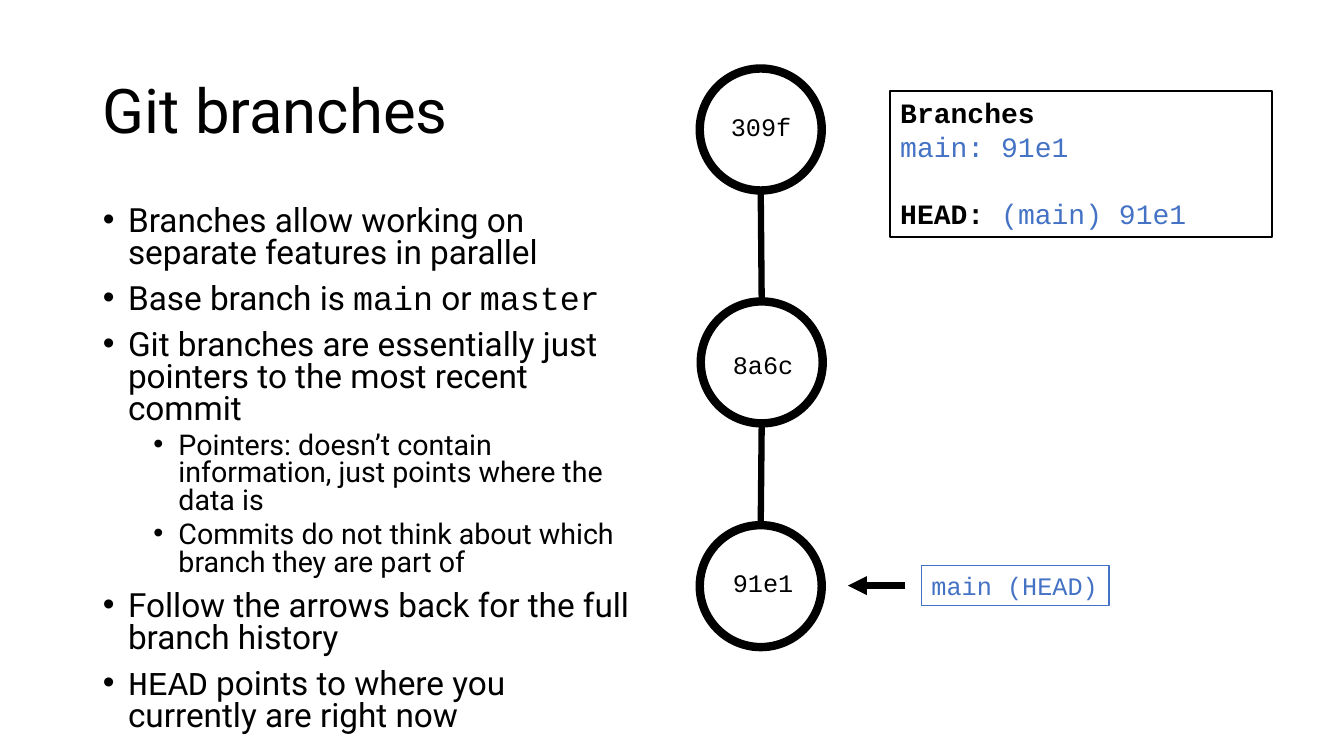
from lxml.etree import SubElement
from pptx import Presentation
from pptx.dml.color import RGBColor
from pptx.enum.shapes import MSO_CONNECTOR as Connector, MSO_SHAPE as Shape
from pptx.enum.text import MSO_ANCHOR as Anchor, MSO_AUTO_SIZE as AutoSize, PP_ALIGN as Align
from pptx.oxml.ns import qn
from pptx.util import Inches, Pt

SANS, MONO = "Roboto", "Courier New"
BLACK, BLUE = "000000", "4472C4"
COMMITS = [  # name, left and top of circle, left and top of label
    ("309f", 6.94, 0.68, 7.15, 1.06),
    ("8a6c", 6.95, 2.99, 7.17, 3.42),
    ("91e1", 6.94, 5.21, 7.17, 5.58),
]
CIRCLE = 1.21
BULLETS = [  # level, runs
    (0, [("Branches allow working on separate features in parallel", SANS)]),
    (0, [("Base branch is ", SANS), ("main", MONO), (" or ", SANS), ("master", MONO)]),
    (0, [("Git branches are essentially just pointers to the most recent commit", SANS)]),
    (1, [("Pointers: doesn’t contain information, just points where the data is", SANS)]),
    (1, [("Commits do not think about which branch they are part of", SANS)]),
    (0, [("Follow the arrows back for the full branch history", SANS)]),
    (0, [("HEAD", MONO), (" points to where you currently are right now", SANS)]),
]
LEVELS = [(23.8, 10, 0.25), (20.4, 5, 0.75)]  # size, space before, indent


def color(value):
    return RGBColor.from_string(value)


def add_span(para, text, size, font=MONO, ink=BLACK, bold=False):
    span = para.add_run()
    span.text = text
    span.font.size = Pt(size)
    span.font.name = font
    span.font.bold = bold
    span.font.color.rgb = color(ink)


def place(shape, left, top, width, height):
    shape.left, shape.top = Inches(left), Inches(top)
    shape.width, shape.height = Inches(width), Inches(height)


def set_line(shape, ink, width):
    shape.line.color.rgb = color(ink)
    shape.line.width = Pt(width)


def fill_title(title, box):
    place(title, *box)
    frame = title.text_frame
    frame.vertical_anchor = Anchor.MIDDLE
    frame.auto_size = AutoSize.NONE
    para = frame.paragraphs[0]
    para.alignment = Align.LEFT
    para.line_spacing = 0.9
    add_span(para, "Git branches", 44, SANS)


def fill_bullets(body, box):
    place(body, *box)
    frame = body.text_frame
    frame.auto_size = AutoSize.NONE
    for index, (level, spans) in enumerate(BULLETS):
        para = frame.add_paragraph() if index else frame.paragraphs[0]
        size, before, indent = LEVELS[level]
        para.level = level
        para.line_spacing = 0.8
        para.space_before = Pt(before)
        properties = para._p.get_or_add_pPr()
        properties.set("marL", str(Inches(indent)))
        properties.set("indent", str(Inches(-0.25)))
        SubElement(properties, qn("a:buFont")).set("typeface", "Arial")
        SubElement(properties, qn("a:buChar")).set("char", "•")
        for text, font in spans:
            add_span(para, text, size, font)


def add_link(slide, start, end, arrow=False):
    link = slide.shapes.add_connector(Connector.STRAIGHT, *map(Inches, start + end))
    set_line(link, BLACK, 4.5)
    if arrow:
        SubElement(link.line._get_or_add_ln(), qn("a:tailEnd")).set("type", "triangle")
    SubElement(link._element.spPr, qn("a:effectLst"))


def add_label(slide, text, box, ink=BLACK):
    label = slide.shapes.add_textbox(*map(Inches, box))
    label.text_frame.word_wrap = False
    add_span(label.text_frame.paragraphs[0], text, 18, ink=ink)
    return label


def add_history(slide):
    """Draw the commits from top to bottom, each linked to the one above."""
    above = None
    for name, left, top, label_left, label_top in COMMITS:
        circle = slide.shapes.add_shape(Shape.OVAL, *map(Inches, (left, top, CIRCLE, CIRCLE)))
        circle.shadow.inherit = False
        circle.fill.background()
        set_line(circle, BLACK, 6)
        add_label(slide, name, (label_left, label_top, 0.81, 0.4))
        center = left + CIRCLE / 2
        if above:
            add_link(slide, (center, top), above)
        above = (center, top + CIRCLE)


def add_branch_tag(slide, box):
    left, top, width, height = box
    tag = add_label(slide, "main (HEAD)", box, BLUE)
    set_line(tag, BLUE, 0.75)
    middle = top + height / 2
    add_link(slide, (left - 0.16, middle), (left - 0.73, middle), arrow=True)


def add_branch_list(slide, box):
    panel = slide.shapes.add_textbox(*map(Inches, box))
    set_line(panel, BLACK, 1.5)
    frame = panel.text_frame
    frame.word_wrap = True
    add_span(frame.paragraphs[0], "Branches", 20, bold=True)
    add_span(frame.add_paragraph(), "main: 91e1", 20, ink=BLUE)
    head = frame.add_paragraph()
    head.space_before = Pt(24)
    add_span(head, "HEAD: ", 20, bold=True)
    add_span(head, "(main) 91e1", 20, ink=BLUE)


def main():
    deck = Presentation()
    deck.slide_width, deck.slide_height = Inches(13.33), Inches(7.5)
    page = deck.slides.add_slide(deck.slide_layouts[1])
    fill_title(page.shapes.title, (0.92, 0.4, 11.5, 1.45))
    fill_bullets(page.placeholders[1], (0.92, 2, 5.48, 4.76))
    add_history(page)
    add_branch_list(page, (8.83, 0.9, 3.79, 1.45))
    add_branch_tag(page, (9.14, 5.61, 1.86, 0.4))
    deck.save("out.pptx")


if __name__ == "__main__":
    main()
